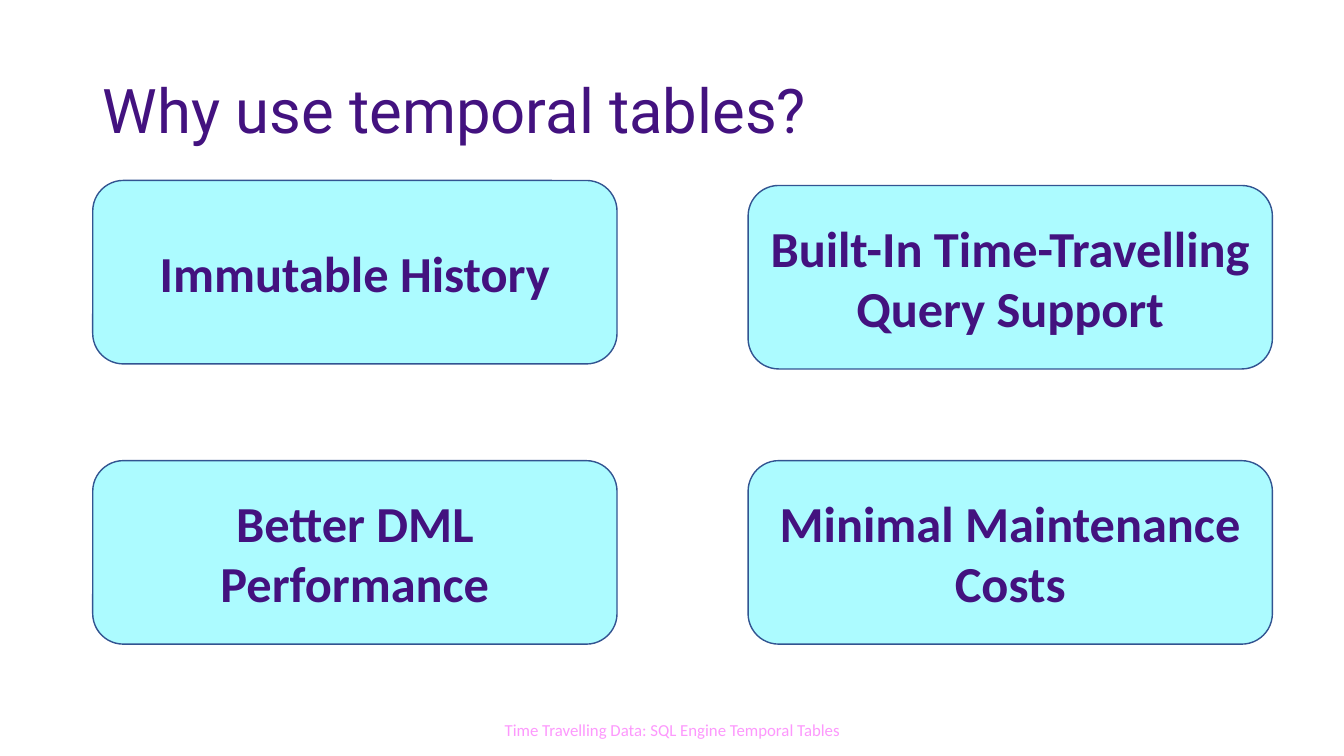
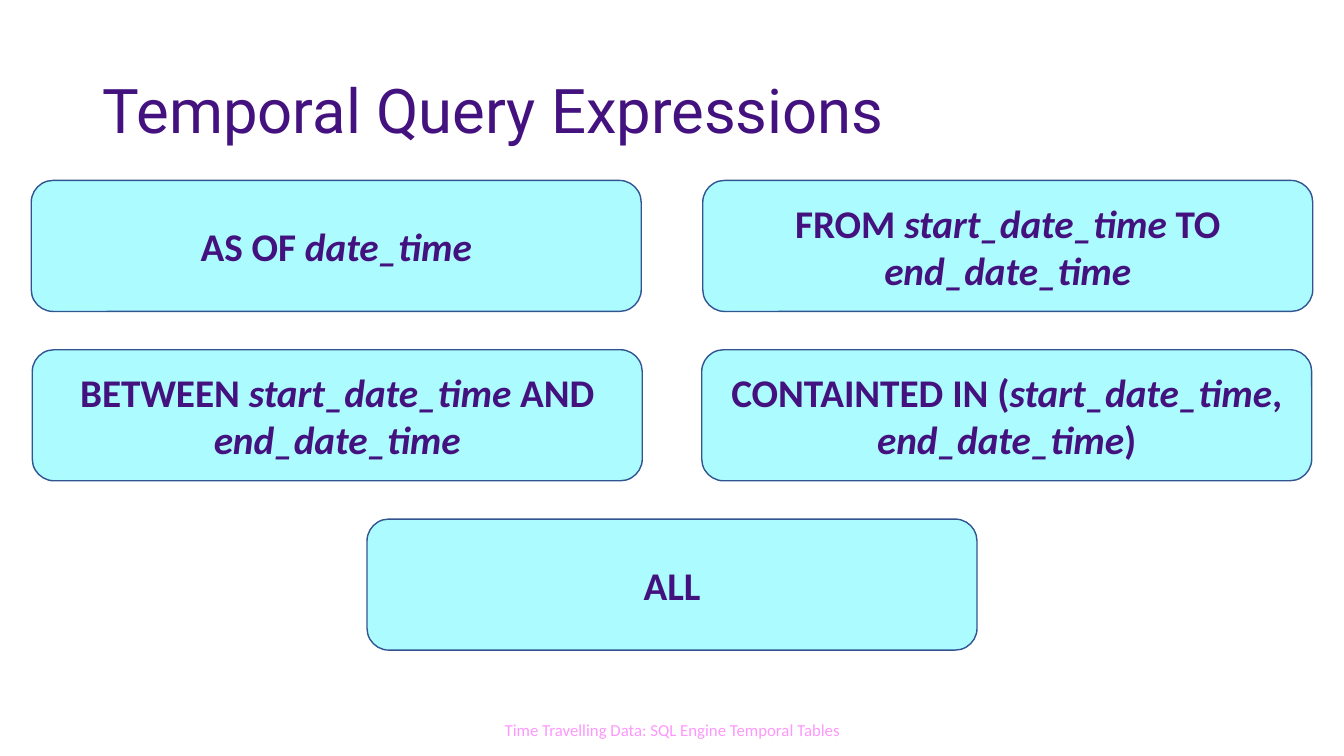
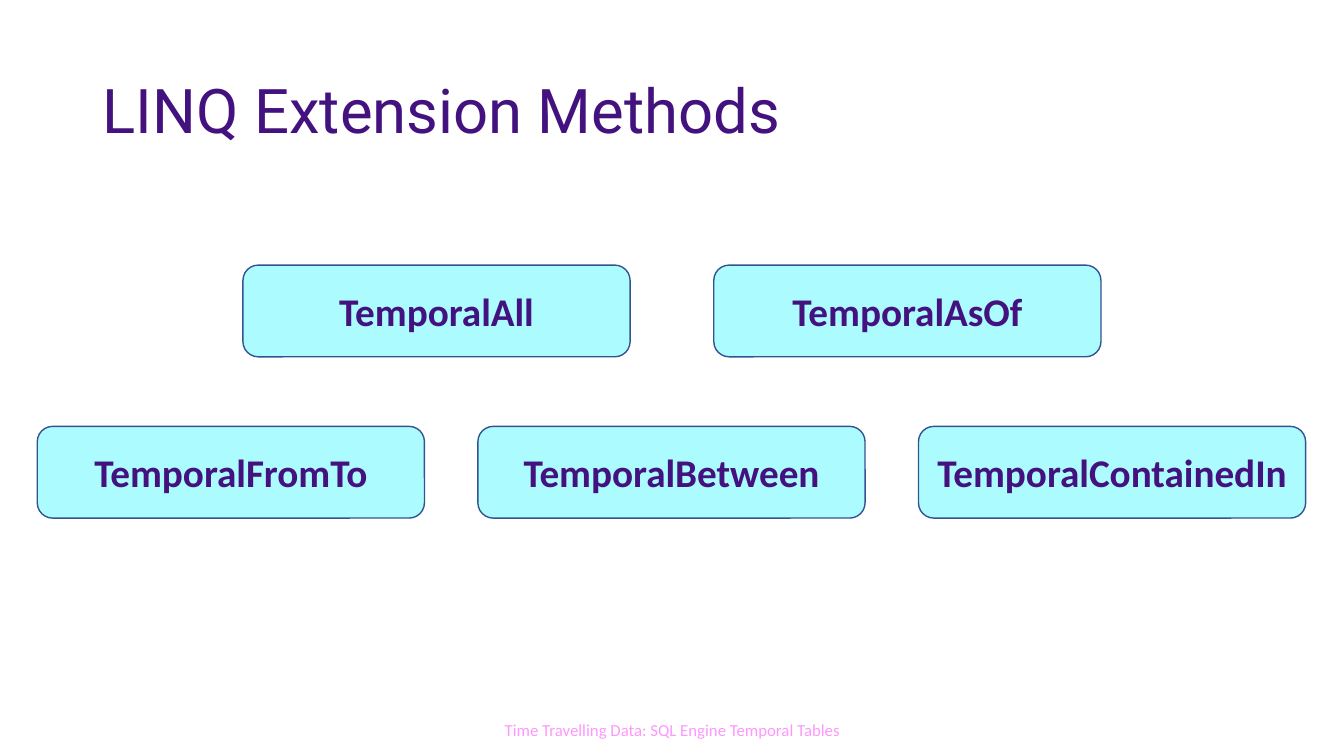
from pptx import Presentation
from pptx.dml.color import RGBColor
from pptx.enum.shapes import MSO_SHAPE
from pptx.enum.text import MSO_ANCHOR, MSO_AUTO_SIZE, PP_ALIGN
from pptx.util import Inches, Pt

PURPLE = "43127F"
PINK = "FD98FD"
CYAN = "ACFBFF"
NAVY = "325491"
FOOTER = "Time Travelling Data: SQL Engine Temporal Tables"

# Each row holds left, top, gap and labels; asterisks enclose italic words.
SLIDES = [
    {
        "title": "Why use temporal tables?",
        "box": (5.2, 1.82),
        "size": 36,
        "rows": [
            (0.92, 1.79, 0, ["Immutable History"]),
            (7.42, 1.84, 0, ["Built-In Time-Travelling Query Support"]),
            (0.92, 4.57, 1.3, ["Better DML Performance", "Minimal Maintenance Costs"]),
        ],
    },
    {
        "title": "Temporal Query Expressions",
        "box": (6.05, 1.3),
        "size": 28,
        "rows": [
            (0.31, 1.79, 0.61, [
                "AS OF *date_time*",
                "FROM *start_date_time* TO *end_date_time*",
            ]),
            (0.32, 3.47, 0.59, [
                "BETWEEN *start_date_time* AND *end_date_time*",
                "CONTAINTED IN (*start_date_time*, *end_date_time*)",
            ]),
            (3.64, 5.15, 0, ["ALL"]),
        ],
    },
    {
        "title": "LINQ Extension Methods",
        "box": (3.84, 0.91),
        "size": 28,
        "rows": [
            (2.41, 2.63, 0.83, ["TemporalAll", "TemporalAsOf"]),
            (0.37, 4.23, 0.53, ["TemporalFromTo", "TemporalBetween", "TemporalContainedIn"]),
        ],
    },
]


def color(value):
    return RGBColor.from_string(value)


def write_text(frame, text, size, font="Calibri", fill=PURPLE, bold=False,
               align=PP_ALIGN.CENTER, anchor=MSO_ANCHOR.MIDDLE, spacing=1.0, wrap=True):
    frame.word_wrap = wrap
    frame.vertical_anchor = anchor
    para = frame.paragraphs[0]
    para.alignment = align
    para.line_spacing = spacing
    for index, part in enumerate(text.split("*")):
        if part:
            span = para.add_run()
            span.text = part
            span.font.name = font
            span.font.size = Pt(size)
            span.font.bold = bold
            span.font.italic = index % 2 == 1
            span.font.color.rgb = color(fill)


def add_footer(page):
    box = page.shapes.add_textbox(Inches(4.9), Inches(7.09), Inches(3.54), Inches(0.3))
    write_text(box.text_frame, FOOTER, 12, fill=PINK, anchor=MSO_ANCHOR.TOP, wrap=False)
    box.text_frame.auto_size = MSO_AUTO_SIZE.SHAPE_TO_FIT_TEXT


def add_title(page, text):
    title = page.shapes.title
    title.left, title.top = Inches(0.92), Inches(0.4)
    title.width, title.height = Inches(11.5), Inches(1.45)
    write_text(title.text_frame, text, 44, font="Roboto", align=PP_ALIGN.LEFT, spacing=0.9)


def add_card(page, left, top, width, height, text, size):
    card = page.shapes.add_shape(MSO_SHAPE.ROUNDED_RECTANGLE, Inches(left), Inches(top),
                                 Inches(width), Inches(height))
    card.shadow.inherit = False
    card.fill.solid()
    card.fill.fore_color.rgb = color(CYAN)
    card.line.color.rgb = color(NAVY)
    card.line.width = Pt(1)
    write_text(card.text_frame, text, size, bold=True)


def main():
    deck = Presentation()
    deck.slide_width, deck.slide_height = Inches(13.33), Inches(7.5)
    for content in SLIDES:
        page = deck.slides.add_slide(deck.slide_layouts[5])
        add_footer(page)
        add_title(page, content["title"])
        width, height = content["box"]
        for left, top, gap, labels in content["rows"]:
            for column, label in enumerate(labels):
                add_card(page, left + column * (width + gap), top, width, height,
                         label, content["size"])
    deck.save("out.pptx")


if __name__ == "__main__":
    main()
